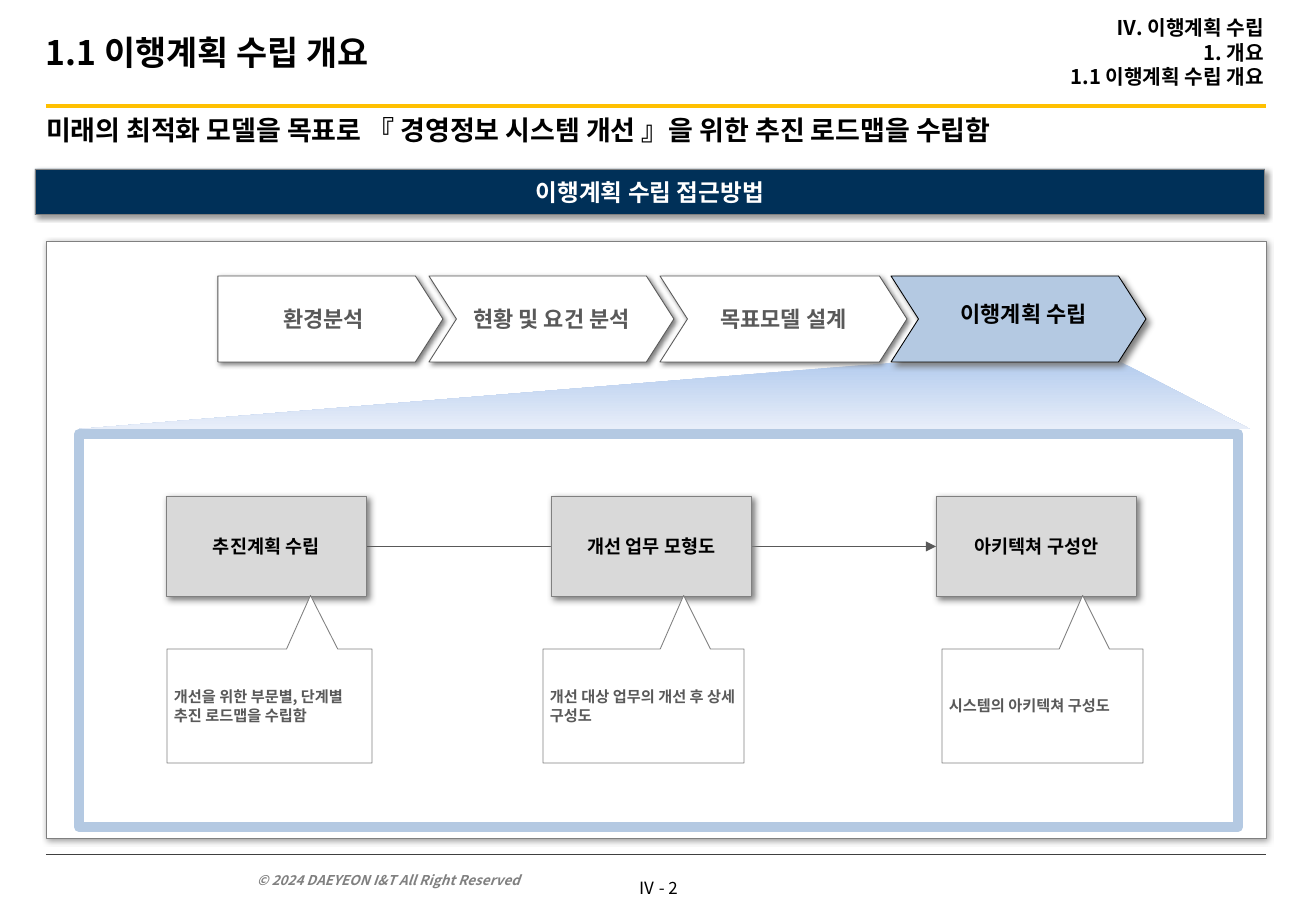
from lxml import etree
from pptx import Presentation
from pptx.dml.color import RGBColor
from pptx.enum.shapes import MSO_CONNECTOR, MSO_SHAPE
from pptx.enum.text import MSO_ANCHOR, PP_ALIGN
from pptx.oxml.ns import qn
from pptx.util import Pt

LEFT, CENTER, RIGHT = PP_ALIGN.LEFT, PP_ALIGN.CENTER, PP_ALIGN.RIGHT
TOP, MIDDLE, BOTTOM = MSO_ANCHOR.TOP, MSO_ANCHOR.MIDDLE, MSO_ANCHOR.BOTTOM
RECTANGLE, CALLOUT = MSO_SHAPE.RECTANGLE, MSO_SHAPE.RECTANGULAR_CALLOUT
PENTAGON, CHEVRON = MSO_SHAPE.PENTAGON, MSO_SHAPE.CHEVRON
STRAIGHT = MSO_CONNECTOR.STRAIGHT

BLACK = RGBColor(0x00, 0x00, 0x00)
WHITE = RGBColor(0xFF, 0xFF, 0xFF)
GRAY = RGBColor(0x80, 0x80, 0x80)
DARK_GRAY = RGBColor(0x59, 0x59, 0x59)
RULE_GRAY = RGBColor(0x40, 0x40, 0x40)
LIGHT_GRAY = RGBColor(0xD9, 0xD9, 0xD9)
NAVY = RGBColor(0x00, 0x30, 0x58)
GOLD = RGBColor(0xFF, 0xC0, 0x00)
BLUE = RGBColor(0xB4, 0xC9, 0xE2)
BEAM_TOP = RGBColor(0xB4, 0xCC, 0xEE)
BEAM_BOTTOM = RGBColor(0xE8, 0xEE, 0xF9)

FONT = "Noto Sans CJK KR"
EMU_PER_PX = 7526
EMU_PER_PT = 12700

TITLE = "1.1 이행계획 수립 개요"
BREADCRUMB = ["Ⅳ. 이행계획 수립", "1. 개요", TITLE]
LEAD = "미래의 최적화 모델을 목표로 『 경영정보 시스템 개선 』을 위한 추진 로드맵을 수립함"
BANNER = "이행계획 수립 접근방법"
COPYRIGHT = "© 2024 DAEYEON I&T All Right Reserved"
PAGE_NUMBER = "Ⅳ - 2"
STEPS = [
    ("환경분석", 218, 225),
    ("현황 및 요건 분석", 429, 245),
    ("목표모델 설계", 660, 247),
    ("이행계획 수립", 891, 255),
]
TASKS = ["추진계획 수립", "개선 업무 모형도", "아키텍쳐 구성안"]
NOTES = [
    ("개선을 위한 부문별, 단계별 추진 로드맵을 수립함", 167, 205),
    ("개선 대상 업무의 개선 후 상세 구성도", 543, 201),
    ("시스템의 아키텍쳐 구성도", 942, 201),
]
BEAM = [(889, 363), (79, 429), (1250, 429), (1121, 362)]
TASK_LEFT, TASK_PITCH = 166, 385

BANNER_SHADOW = ("000000", 40, 3, 2)
STEP_SHADOW = ("808080", 100, 3, 2)
ACTIVE_SHADOW = ("808080", 100, 4, 3)
TASK_SHADOW = ("808080", 100, 4, 2)


def px(value):
    return round(value * EMU_PER_PX)


def write(shape, lines, size, color=BLACK, align=LEFT, anchor=MIDDLE,
          insets=(12, 6, 12, 6), wrap=True, bold=True, italic=False, pitch=None):
    frame = shape.text_frame
    frame.word_wrap = wrap
    frame.vertical_anchor = anchor
    (frame.margin_left, frame.margin_top,
     frame.margin_right, frame.margin_bottom) = map(px, insets)
    for index, line in enumerate(lines):
        paragraph = frame.add_paragraph() if index else frame.paragraphs[0]
        paragraph.alignment = align
        if pitch:
            paragraph.line_spacing = Pt(pitch)
        run = paragraph.add_run()
        run.text = line
        font = run.font
        font.size, font.bold, font.italic = Pt(size), bold, italic
        font.color.rgb = color
        font.name = FONT
        etree.SubElement(run._r.get_or_add_rPr(), qn("a:ea"), typeface=FONT)


def add_text(box, lines, size, **style):
    shape = slide.shapes.add_textbox(*map(px, box))
    write(shape, lines, size, **style)


def add_box(kind, box, fill, line, width=0.5, shadow=None):
    shape = slide.shapes.add_shape(kind, *map(px, box))
    shape.shadow.inherit = False
    if fill is None:
        shape.fill.background()
    else:
        shape.fill.solid()
        shape.fill.fore_color.rgb = fill
    shape.line.color.rgb = line
    shape.line.width = Pt(width)
    if shadow:
        tint, opacity, blur, distance = shadow
        effects = shape._element.spPr.find(qn("a:effectLst"))
        outer = etree.SubElement(
            effects, qn("a:outerShdw"), blurRad=str(blur * EMU_PER_PT),
            dist=str(distance * EMU_PER_PT), dir="2700000", algn="tl", rotWithShape="0")
        color = etree.SubElement(outer, qn("a:srgbClr"), val=tint)
        etree.SubElement(color, qn("a:alpha"), val=str(opacity * 1000))
    return shape


def add_line(start, end, color, width):
    line = slide.shapes.add_connector(STRAIGHT, *map(px, start + end))
    line.line.color.rgb = color
    line.line.width = Pt(width)
    etree.SubElement(line._element.spPr, qn("a:effectLst"))
    return line


def add_task(index):
    box = (TASK_LEFT + index * TASK_PITCH, 496, 201, 101)
    shape = add_box(RECTANGLE, box, LIGHT_GRAY, GRAY, shadow=TASK_SHADOW)
    write(shape, [TASKS[index]], 11, align=CENTER, insets=(5, 5, 5, 5))
    return shape


presentation = Presentation()
presentation.slide_width = px(1316)
presentation.slide_height = px(911)
slide = presentation.slides.add_slide(presentation.slide_layouts[6])

add_line((46, 106), (1266, 106), GOLD, 2.5)
add_line((46, 854), (1266, 854), RULE_GRAY, 0.5)
add_text((622, 872, 72, 33), [PAGE_NUMBER], 10, align=CENTER, anchor=TOP,
         insets=(7, 6, 7, 6), wrap=False, bold=False)
add_text((245, 861, 367, 33), [COPYRIGHT], 8, color=GRAY, anchor=BOTTOM, italic=True)
add_text((46, 114, 1220, 83), [LEAD], 16, anchor=TOP, insets=(0, 0, 0, 0))
add_text((46, 0, 956, 103), [TITLE], 20, insets=(0, 6, 12, 6))
add_text((600, 0, 664, 104), BREADCRUMB, 12, align=RIGHT, insets=(0, 6, 0, 6), pitch=14.5)

banner = add_box(RECTANGLE, (35, 169, 1230, 46), NAVY, GRAY, shadow=BANNER_SHADOW)
write(banner, [BANNER], 14, color=WHITE, align=CENTER)
add_box(RECTANGLE, (46, 241, 1220, 598), WHITE, GRAY, shadow=BANNER_SHADOW)
add_box(RECTANGLE, (79, 434, 1159, 393), None, BLUE, width=6)

builder = slide.shapes.build_freeform(*BEAM[0], scale=EMU_PER_PX)
builder.add_line_segments(BEAM[1:], close=True)
beam = builder.convert_to_shape()
beam.shadow.inherit = False
beam.line.fill.background()
beam.fill.gradient()
beam.fill.gradient_angle = 270
for stop, color in zip(beam.fill.gradient_stops, (BEAM_TOP, BEAM_BOTTOM)):
    stop.color.rgb = color
beam.fill.gradient_stops[0].position = 0
beam.fill.gradient_stops[1].position = 1

for index, (label, left, width) in enumerate(STEPS):
    active = index == len(STEPS) - 1
    step = add_box(CHEVRON if index else PENTAGON, (left, 276, width, 86),
                   BLUE if active else WHITE, BLACK if active else DARK_GRAY,
                   shadow=ACTIVE_SHADOW if active else STEP_SHADOW)
    step.adjustments[0] = 0.32
    write(step, [label], 13, color=BLACK if active else DARK_GRAY, align=CENTER,
          insets=(10, 0, 0, 10) if active else (10, 10, 10, 10), wrap=False)

first_task, last_task = add_task(0), add_task(2)
flow = add_line((367, 546), (936, 546), DARK_GRAY, 0.5)
flow.begin_connect(first_task, 3)
flow.end_connect(last_task, 1)
etree.SubElement(flow.line._get_or_add_ln(), qn("a:tailEnd"), type="triangle")
add_task(1)

for text, left, width in NOTES:
    note = add_box(CALLOUT, (left, 649, width, 114), WHITE, GRAY)
    note.adjustments[0] = 0.2
    note.adjustments[1] = -0.97
    write(note, [text], 9, color=DARK_GRAY, insets=(7, 5, 7, 5), pitch=10.7)

presentation.save("out.pptx")
